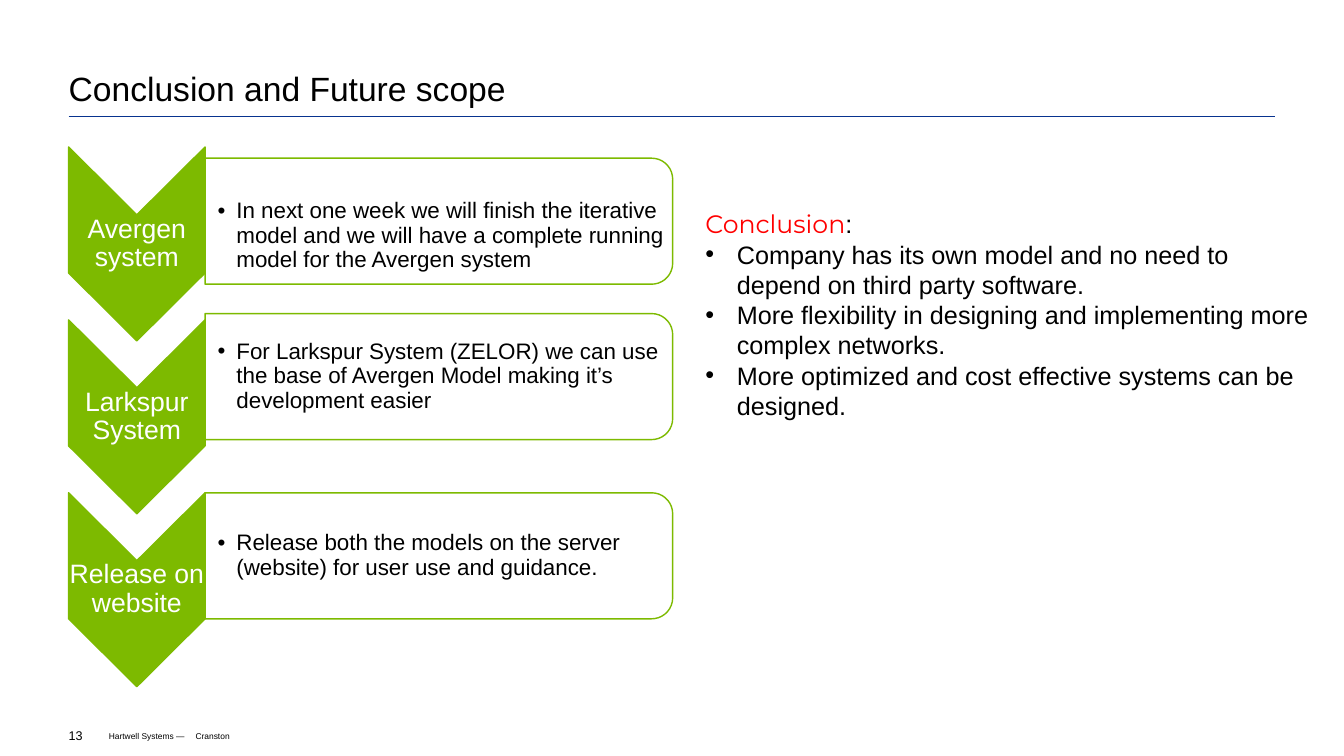
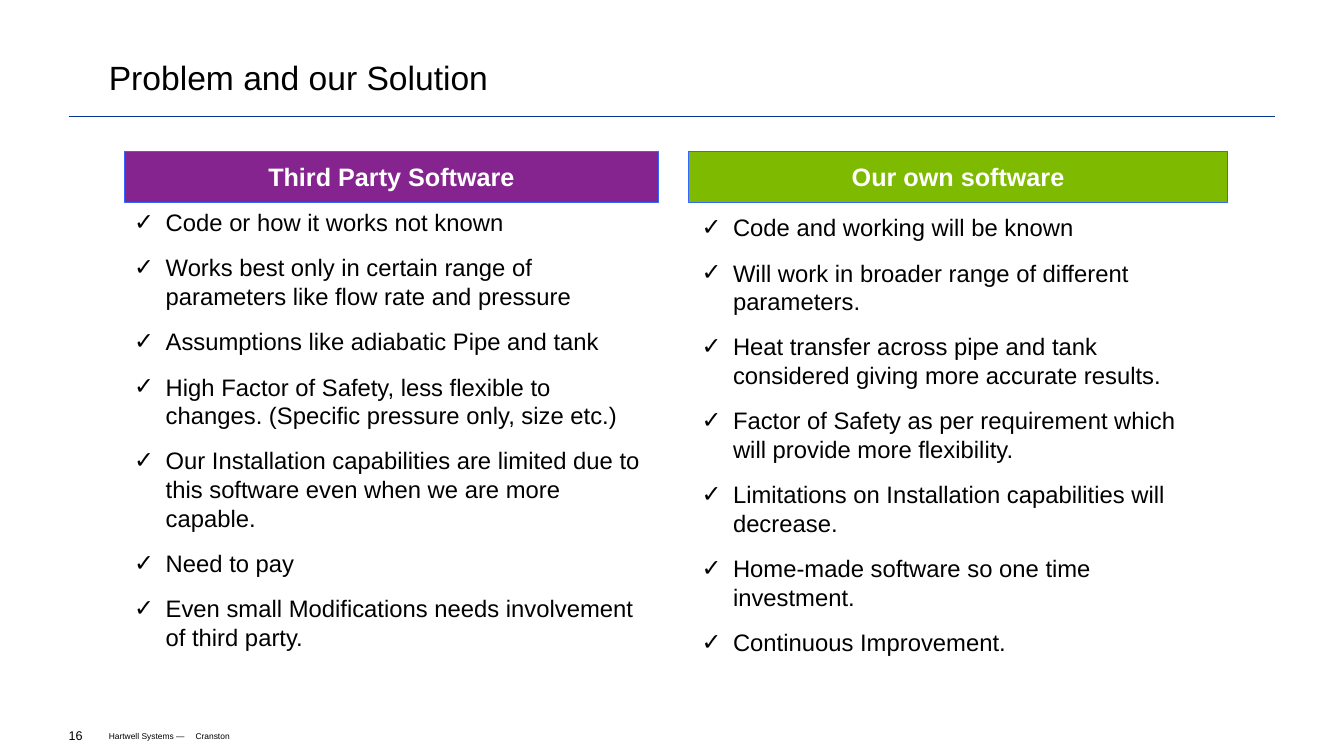
from math import cos, radians, sin

from lxml.etree import SubElement
from pptx import Presentation
from pptx.dml.color import RGBColor
from pptx.enum.shapes import MSO_CONNECTOR as Line, MSO_SHAPE as Preset
from pptx.enum.text import MSO_ANCHOR as Anchor, MSO_AUTO_SIZE as Fit, PP_ALIGN as Align
from pptx.oxml.ns import qn
from pptx.util import Pt

BLACK = RGBColor(0x00, 0x00, 0x00)
WHITE = RGBColor(0xFF, 0xFF, 0xFF)
RED = RGBColor(0xFF, 0x00, 0x00)
NAVY = RGBColor(0x08, 0x33, 0x8F)
BLUE = RGBColor(0x33, 0x66, 0xFF)
GREEN = RGBColor(0x7D, 0xBA, 0x00)
PURPLE = RGBColor(0x85, 0x24, 0x8F)

TITLE_ONLY = 5
LEFT = 49
RIGHT = 911
FOOTER_LEFT = 77.75
INDENT = 22.5
NO_INSETS = (0, 0, 0, 0)
TEXT_INSETS = (7.2, 3.6, 7.2, 3.6)


class Board:
    font = "Arial"

    def __init__(self):
        self.deck = Presentation()
        self.deck.slide_width = Pt(960)
        self.deck.slide_height = Pt(540)
        self.page = None

    def new_page(self, title, number, area):
        self.page = self.deck.slides.add_slide(self.deck.slide_layouts[TITLE_ONLY])
        box = self.page.shapes.title
        box.left, box.top, box.width, box.height = map(Pt, area)
        self.set_frame(box, NO_INSETS, Anchor.BOTTOM)
        self.add_para(box, title, 24, spacing=0.9)
        self.add_rule(LEFT, RIGHT, 83)
        self.add_text("Hartwell Systems —", 6, (FOOTER_LEFT, 522, 60, 7.2))
        self.add_text(str(number), 9, (LEFT, 516.5, 28, 17))
        self.add_text("Cranston", 6, (139.75, 518.5, 499, 15))

    def set_frame(self, box, insets, anchor):
        frame = box.text_frame
        frame.word_wrap = True
        frame.auto_size = Fit.NONE
        frame.vertical_anchor = anchor
        (frame.margin_left, frame.margin_top,
         frame.margin_right, frame.margin_bottom) = map(Pt, insets)

    def add_para(self, box, text, size, color=BLACK, align=Align.LEFT, spacing=None,
                 bold=False, bullet=None, indent=INDENT, before=0):
        frame = box.text_frame
        first = not frame.paragraphs[0].runs
        para = frame.paragraphs[0] if first else frame.add_paragraph()
        para.alignment = align
        if spacing:
            para.line_spacing = spacing
        if before and not first:
            para.space_before = Pt(before)
        if bullet:
            properties = para._p.get_or_add_pPr()
            properties.set("marL", str(Pt(indent)))
            properties.set("indent", str(-Pt(indent)))
            SubElement(properties, qn("a:buFont")).set("typeface", self.font)
            SubElement(properties, qn("a:buChar")).set("char", bullet)
        self.add_span(para, text, size, color, bold=bold)
        return para

    def add_span(self, para, text, size, color=BLACK, font=None, bold=False):
        span = para.add_run()
        span.text = text
        span.font.name = font or self.font
        span.font.size = Pt(size)
        span.font.bold = bold
        span.font.color.rgb = color

    def add_box(self, area, insets=TEXT_INSETS, anchor=Anchor.TOP):
        box = self.page.shapes.add_textbox(*map(Pt, area))
        self.set_frame(box, insets, anchor)
        return box

    def add_text(self, text, size, area):
        self.add_para(self.add_box(area, NO_INSETS, Anchor.MIDDLE), text, size)

    def add_rule(self, start, end, top):
        rule = self.page.shapes.add_connector(
            Line.STRAIGHT, Pt(start), Pt(top), Pt(end), Pt(top))
        rule.line.color.rgb = NAVY
        rule.line.width = Pt(0.75)
        SubElement(rule._element.spPr, qn("a:effectLst"))

    def paint(self, shape, fill, line, width):
        shape.shadow.inherit = False
        shape.fill.solid()
        shape.fill.fore_color.rgb = fill
        shape.line.color.rgb = line
        shape.line.width = Pt(width)

    def add_outline(self, points, fill):
        corners = [(Pt(x), Pt(y)) for x, y in points]
        builder = self.page.shapes.build_freeform(*corners[0])
        builder.add_line_segments(corners[1:], close=True)
        shape = builder.convert_to_shape()
        self.paint(shape, fill, GREEN, 1)
        return shape

    def add_chevron(self, text, left, top, width=97.5, side=90, depth=48.5):
        middle, right = left + width / 2, left + width
        shape = self.add_outline(
            [(left, top), (middle, top + depth), (right, top), (right, top + side),
             (middle, top + side + depth), (left, top + side)], GREEN)
        self.set_frame(shape, (0.75, depth, 0.75, depth), Anchor.MIDDLE)
        self.add_para(shape, text, 19, WHITE, Align.CENTER, 0.9)

    def add_panel(self, text, left, top, inset_top=5, width=334, height=90, radius=15):
        center = left + width - radius
        arc = [(center + radius * cos(radians(angle)),
                top + (radius if angle <= 0 else height - radius)
                + radius * sin(radians(angle)))
               for angle in (*range(-90, 1, 10), *range(1, 90, 10), 90)]
        shape = self.add_outline([(left, top), *arc, (left, top + height)], WHITE)
        self.set_frame(shape, (8.9, inset_top, 5, 5), Anchor.MIDDLE)
        self.add_para(shape, text, 16, spacing=0.9, bullet="•", indent=13.5)

    def add_header(self, text, fill, area):
        shape = self.page.shapes.add_shape(Preset.RECTANGLE, *map(Pt, area))
        self.paint(shape, fill, BLUE, 0.5)
        self.set_frame(shape, TEXT_INSETS, Anchor.MIDDLE)
        self.add_para(shape, text, 18, WHITE, Align.CENTER, bold=True)

    def add_checklist(self, items, area):
        box = self.add_box(area)
        for item in items:
            self.add_para(box, item, 17, bullet="✓", before=12)


def build_conclusion(board):
    board.new_page("Conclusion and Future scope", 13, (LEFT, 15, 862, 62.75))

    box = board.add_box((496.8, 145.5, 448, 160))
    para = box.text_frame.paragraphs[0]
    board.add_span(para, "Conclusion", 18, RED, "Montserrat")
    board.add_span(para, ":", 18)
    for point in (
        "Company has its own model and no need to depend on third party software.",
        "More flexibility in designing and implementing more complex networks.",
        "More optimized and cost effective systems can be designed.",
    ):
        board.add_para(box, point, 18, bullet="•")

    steps = (
        ("Avergen system", 113, 26,
         "In next one week we will finish the iterative model and we will have "
         "a complete running model for the Avergen system"),
        ("Larkspur System", 224, 5,
         "For Larkspur System (ZELOR) we can use the base of Avergen Model "
         "making it’s development easier"),
        ("Release on website", 352, 5,
         "Release both the models on the server (website) for user use and guidance."),
    )
    for index, (name, panel_top, inset_top, detail) in enumerate(steps):
        board.add_panel(detail, LEFT + 97.5, panel_top, inset_top)
        board.add_chevron(name, LEFT, 105 + index * 123.5)


def build_comparison(board):
    board.new_page("Problem and our Solution", 16, (FOOTER_LEFT, 37.5, 636, 32.5))
    board.add_header("Third Party Software", PURPLE, (88.75, 108.25, 381.75, 36))
    board.add_header("Our own software", GREEN, (491.75, 108.25, 385.25, 36))
    board.add_checklist((
        "Code or how it works not known",
        "Works best only in certain range of parameters like flow rate and pressure",
        "Assumptions like adiabatic Pipe and tank",
        "High Factor of Safety, less flexible to changes. (Specific pressure only, size etc.)",
        "Our Installation capabilities are limited due to this software even when we are "
        "more capable.",
        "Need to pay",
        "Even small Modifications needs involvement of third party.",
    ), (88.75, 144.75, 381.75, 361.5))
    board.add_checklist((
        "Code and working will be known",
        "Will work in broader range of different parameters.",
        "Heat transfer across pipe and tank considered giving more accurate results.",
        "Factor of Safety as per requirement which will provide more flexibility.",
        "Limitations on Installation capabilities will decrease.",
        "Home-made software so one time investment.",
        "Continuous Improvement.",
    ), (494, 148.5, 381, 327))


def main():
    board = Board()
    build_conclusion(board)
    build_comparison(board)
    board.deck.save("out.pptx")


if __name__ == "__main__":
    main()
